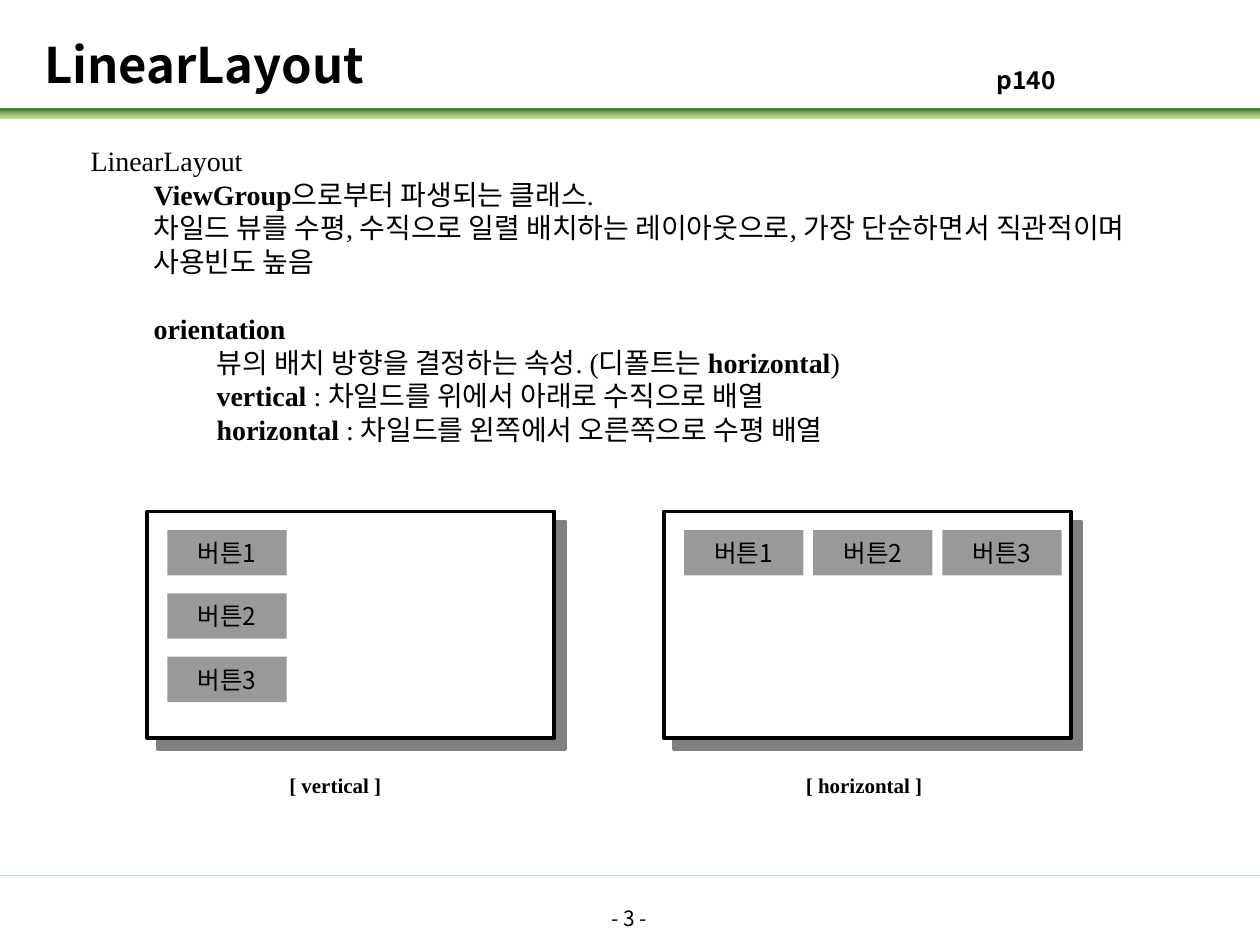
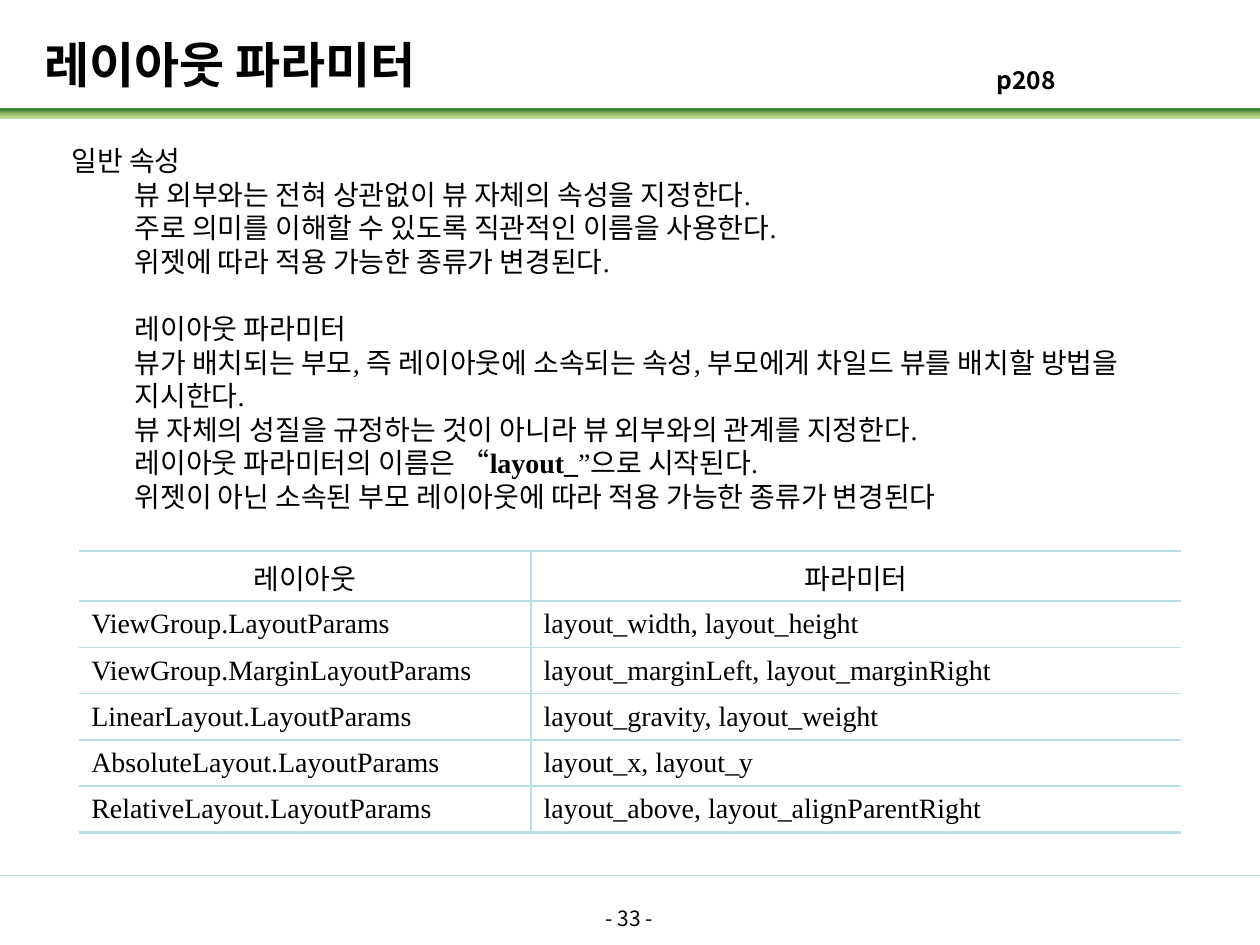
"""Builds two lecture pages about linear layouts and layout parameters."""
from dataclasses import dataclass

from lxml import etree
from pptx import Presentation
from pptx.dml.color import RGBColor
from pptx.enum.shapes import MSO_CONNECTOR, MSO_SHAPE
from pptx.enum.text import MSO_ANCHOR, MSO_AUTO_SIZE, PP_ALIGN
from pptx.oxml import parse_xml
from pptx.oxml.ns import nsdecls, qn
from pptx.shapes.autoshape import Shape
from pptx.shapes.shapetree import GroupShapes, SlideShapes
from pptx.slide import Slide, SlideLayout
from pptx.table import _Cell
from pptx.text.text import TextFrame, _Paragraph
from pptx.util import Pt

RECTANGLE = MSO_SHAPE.RECTANGLE
STRAIGHT = MSO_CONNECTOR.STRAIGHT
MIDDLE, TOP = MSO_ANCHOR.MIDDLE, MSO_ANCHOR.TOP
LEFT, CENTER = PP_ALIGN.LEFT, PP_ALIGN.CENTER
NO_AUTOFIT = MSO_AUTO_SIZE.NONE

BLACK = RGBColor(0x00, 0x00, 0x00)
WHITE = RGBColor(0xFF, 0xFF, 0xFF)
BUTTON_GRAY = RGBColor(0x99, 0x99, 0x99)
SHADOW_GRAY = RGBColor(0x80, 0x80, 0x80)
FOOTER_TEAL = RGBColor(0xB6, 0xDC, 0xDF)
TABLE_TEAL = RGBColor(0xBB, 0xE0, 0xE3)
BAND_LIGHT = RGBColor(0x92, 0xD0, 0x50)
BAND_MIDDLE = RGBColor(0x9C, 0xB8, 0x6E)
BAND_DARK = RGBColor(0x15, 0x6B, 0x13)

SANS = "Noto Sans CJK KR"
SERIF = "Times New Roman"

PAGE_WIDTH, PAGE_HEIGHT = 720, 540
LEVEL_INDENT = 36
SECTION_GAP = 19.2
THIN, THICK = 1, 1.5


@dataclass(frozen=True)
class Box:
    """A rectangle on the page, in points."""
    left: float
    top: float
    width: float
    height: float

    def lengths(self) -> tuple[Pt, Pt, Pt, Pt]:
        """Return the four lengths for the shape methods."""
        return Pt(self.left), Pt(self.top), Pt(self.width), Pt(self.height)


@dataclass(frozen=True)
class Item:
    """A body paragraph; text between asterisks is bold."""
    level: int
    text: str
    gap_before: float = 0


@dataclass(frozen=True)
class Lesson:
    """The wording of one page."""
    title: str
    book_page: str
    number: int
    body: Box
    items: tuple[Item, ...]


@dataclass(frozen=True)
class Panel:
    """A sample screen whose buttons advance by a fixed step."""
    left: float
    caption: str
    step_across: float
    step_down: float


LINEAR_LAYOUT = Lesson(
    "LinearLayout", "p140", 3, Box(44.6, 78.5, 646.6, 181.4),
    (
        Item(0, "LinearLayout"),
        Item(1, "*ViewGroup*으로부터 파생되는 클래스."),
        Item(1, "차일드 뷰를 수평, 수직으로 일렬 배치하는 레이아웃으로, 가장 단순하면서 직관적이며 사용빈도 높음"),
        Item(1, "*orientation*", SECTION_GAP),
        Item(2, "뷰의 배치 방향을 결정하는 속성. (디폴트는 *horizontal*)"),
        Item(2, "*vertical* : 차일드를 위에서 아래로 수직으로 배열"),
        Item(2, "*horizontal* : 차일드를 왼쪽에서 오른쪽으로 수평 배열"),
    ),
)
PARAMETERS = Lesson(
    "레이아웃 파라미터", "p208", 33, Box(33.8, 78.5, 641.5, 220.3),
    (
        Item(0, "일반 속성"),
        Item(1, "뷰 외부와는 전혀 상관없이 뷰 자체의 속성을 지정한다."),
        Item(1, "주로 의미를 이해할 수 있도록 직관적인 이름을 사용한다."),
        Item(1, "위젯에 따라 적용 가능한 종류가 변경된다."),
        Item(1, "레이아웃 파라미터", SECTION_GAP),
        Item(1, "뷰가 배치되는 부모, 즉 레이아웃에 소속되는 속성, 부모에게 차일드 뷰를 배치할 방법을 지시한다."),
        Item(1, "뷰 자체의 성질을 규정하는 것이 아니라 뷰 외부와의 관계를 지정한다."),
        Item(1, "레이아웃 파라미터의 이름은 “*layout_*”으로 시작된다."),
        Item(1, "위젯이 아닌 소속된 부모 레이아웃에 따라 적용 가능한 종류가 변경된다"),
    ),
)
PANELS = (
    Panel(84.2, "[ vertical ]", 0, 36.2),
    Panel(379.4, "[ horizontal ]", 73.8, 0),
)
BUTTONS = ("버튼1", "버튼2", "버튼3")
TABLE_ROWS = (
    ("레이아웃", "파라미터"),
    ("ViewGroup.LayoutParams", "layout_width, layout_height"),
    ("ViewGroup.MarginLayoutParams", "layout_marginLeft, layout_marginRight"),
    ("LinearLayout.LayoutParams", "layout_gravity, layout_weight"),
    ("AbsoluteLayout.LayoutParams", "layout_x, layout_y"),
    ("RelativeLayout.LayoutParams", "layout_above, layout_alignParentRight"),
)
COLUMN_WIDTHS = (258.5, 371.5)
HEADER_HEIGHT, ROW_HEIGHT = 28.8, 26.4


def style_para(para: _Paragraph, size: float, face: str, bold: bool | None = None,
               align: PP_ALIGN = LEFT) -> None:
    """Set the font and alignment of a whole paragraph."""
    para.alignment = align
    font = para.font
    font.size, font.name, font.bold = Pt(size), face, bold
    font.color.rgb = BLACK
    if face == SANS:
        defaults = para._p.pPr.find(qn("a:defRPr"))
        etree.SubElement(defaults, qn("a:ea")).set("typeface", face)


def write_line(frame: TextFrame, text: str, size: float, face: str,
               bold: bool | None = None, align: PP_ALIGN = LEFT) -> None:
    """Write one styled paragraph into a frame."""
    frame.text = text
    style_para(frame.paragraphs[0], size, face, bold, align)


def place(shape: Shape, box: Box) -> None:
    """Move a placeholder to a box."""
    shape.left, shape.top, shape.width, shape.height = box.lengths()


def add_label(shapes: SlideShapes | GroupShapes, box: Box, text: str, size: float,
              face: str, bold: bool | None = None, align: PP_ALIGN = LEFT) -> None:
    """Add a text box with one line."""
    frame = shapes.add_textbox(*box.lengths()).text_frame
    frame.word_wrap = True
    write_line(frame, text, size, face, bold, align)


def add_rectangle(shapes: SlideShapes | GroupShapes, box: Box, color: RGBColor) -> Shape:
    """Add a plain rectangle without line or shadow."""
    shape = shapes.add_shape(RECTANGLE, *box.lengths())
    shape.shadow.inherit = False
    shape.fill.solid()
    shape.fill.fore_color.rgb = color
    shape.line.fill.background()
    return shape


def decorate_layout(page: Slide, layout: SlideLayout) -> None:
    """Draw the header band and the footer line and move them to the layout."""
    band = add_rectangle(page.shapes, Box(0, 61.9, PAGE_WIDTH, 6), BAND_MIDDLE)
    gradient = parse_xml(
        f'<a:gradFill {nsdecls("a")} rotWithShape="1"><a:gsLst>'
        f'<a:gs pos="0"><a:srgbClr val="{BAND_LIGHT}"><a:alpha val="56000"/></a:srgbClr></a:gs>'
        f'<a:gs pos="50000"><a:srgbClr val="{BAND_MIDDLE}"/></a:gs>'
        f'<a:gs pos="100000"><a:srgbClr val="{BAND_DARK}"/></a:gs>'
        '</a:gsLst><a:lin ang="16200000" scaled="0"/></a:gradFill>')
    properties = band._element.spPr
    properties.replace(properties.find(qn("a:solidFill")), gradient)

    height = Pt(500.5)
    line = page.shapes.add_connector(STRAIGHT, Pt(0), height, Pt(PAGE_WIDTH), height)
    line.line.color.rgb = FOOTER_TEAL
    line.line.width = Pt(0.75)
    etree.SubElement(line._element.spPr, qn("a:effectLst"))
    for shape in (band, line):
        layout.shapes._spTree.append(shape._element)


def fill_body(shape: Shape, lesson: Lesson) -> None:
    """Write the indented paragraphs of a lesson."""
    place(shape, lesson.body)
    frame = shape.text_frame
    frame.auto_size, frame.vertical_anchor = NO_AUTOFIT, TOP
    for index, item in enumerate(lesson.items):
        para = frame.add_paragraph() if index else frame.paragraphs[0]
        para.level = item.level
        para.space_before = Pt(item.gap_before)
        properties = para._p.get_or_add_pPr()
        properties.set("marL", str(Pt(LEVEL_INDENT * item.level)))
        properties.set("indent", "0")
        etree.SubElement(properties, qn("a:buNone"))
        style_para(para, 16, SERIF)
        for position, text in enumerate(item.text.split("*")):
            if text:
                span = para.add_run()
                span.text = text
                span.font.bold = position % 2 == 1


def fill_page(page: Slide, lesson: Lesson) -> None:
    """Write the title, book page, page number and body."""
    title = page.shapes.title
    place(title, Box(25.2, 20.2, 440.6, 32.4))
    frame = title.text_frame
    frame.auto_size, frame.vertical_anchor = NO_AUTOFIT, MIDDLE
    frame.margin_left = frame.margin_right = Pt(0)
    write_line(frame, lesson.title, 28, SANS, True)
    add_label(page.shapes, Box(562.3, 33.8, 179.3, 24.5), lesson.book_page, 14, SANS, True)
    add_label(page.shapes, Box(275.8, 514.1, 167.8, 37.4), f"- {lesson.number} -", 12, SANS,
              align=CENTER)
    fill_body(page.placeholders[1], lesson)


def add_panel(page: Slide, panel: Panel) -> None:
    """Draw a sample screen with its buttons and caption."""
    shapes = page.shapes.add_group_shape().shapes
    top = 292.3
    screen = add_rectangle(shapes, Box(panel.left, top, 232.6, 129.6), WHITE)
    screen.line.color.rgb = BLACK
    screen.line.width = Pt(2.25)
    effects = screen._element.spPr.find(qn("a:effectLst"))
    effects.append(parse_xml(
        f'<a:outerShdw {nsdecls("a")} blurRad="0" dist="{Pt(8.5)}" dir="2700000" '
        f'algn="ctr" rotWithShape="0"><a:srgbClr val="{SHADOW_GRAY}"/></a:outerShdw>'))
    for index, text in enumerate(BUTTONS):
        box = Box(panel.left + 11.5 + index * panel.step_across,
                  top + 10.6 + index * panel.step_down, 68.2, 25.9)
        frame = add_rectangle(shapes, box, BUTTON_GRAY).text_frame
        frame.word_wrap, frame.vertical_anchor = False, MIDDLE
        write_line(frame, text, 14, SANS, align=CENTER)
    add_label(shapes, Box(panel.left + 74, 437.8, 82, 21.6), panel.caption, 12, SERIF, True)


def set_borders(cell: _Cell, widths: dict[str, float]) -> None:
    """Draw the sides of a cell in the given widths, none where zero."""
    properties = cell._tc.get_or_add_tcPr()
    for side, width in widths.items():
        line = etree.SubElement(properties, qn(f"a:ln{side}"), w=str(Pt(width)))
        if width:
            fill = etree.SubElement(line, qn("a:solidFill"))
            etree.SubElement(fill, qn("a:srgbClr"), val=str(TABLE_TEAL))
        else:
            etree.SubElement(line, qn("a:noFill"))


def add_parameter_table(page: Slide) -> None:
    """Add the table of layouts and their parameters."""
    last = len(TABLE_ROWS) - 1
    box = Box(45, 314.8, sum(COLUMN_WIDTHS), HEADER_HEIGHT + last * ROW_HEIGHT)
    table = page.shapes.add_table(len(TABLE_ROWS), len(COLUMN_WIDTHS), *box.lengths()).table
    table.first_row = table.horz_banding = False
    for column, width in zip(table.columns, COLUMN_WIDTHS):
        column.width = Pt(width)
    for row, texts in enumerate(TABLE_ROWS):
        header = row == 0
        table.rows[row].height = Pt(HEADER_HEIGHT if header else ROW_HEIGHT)
        for column, text in enumerate(texts):
            cell = table.cell(row, column)
            set_borders(cell, {
                "L": THIN if column else 0,
                "R": 0 if column else THIN,
                "T": THICK if row < 2 else THIN,
                "B": THICK if row in (0, last) else THIN,
            })
            cell.fill.background()
            cell.vertical_anchor = MIDDLE
            write_line(cell.text_frame, text, 16, SANS if header else SERIF,
                       align=CENTER if header else LEFT)


def main() -> None:
    """Build and save the deck."""
    deck = Presentation()
    deck.slide_width, deck.slide_height = Pt(PAGE_WIDTH), Pt(PAGE_HEIGHT)
    layout = deck.slide_layouts[1]
    linear_page, parameter_page = (deck.slides.add_slide(layout) for _ in range(2))
    decorate_layout(linear_page, layout)
    fill_page(linear_page, LINEAR_LAYOUT)
    for panel in PANELS:
        add_panel(linear_page, panel)
    fill_page(parameter_page, PARAMETERS)
    add_parameter_table(parameter_page)
    deck.save("out.pptx")


if __name__ == "__main__":
    main()
